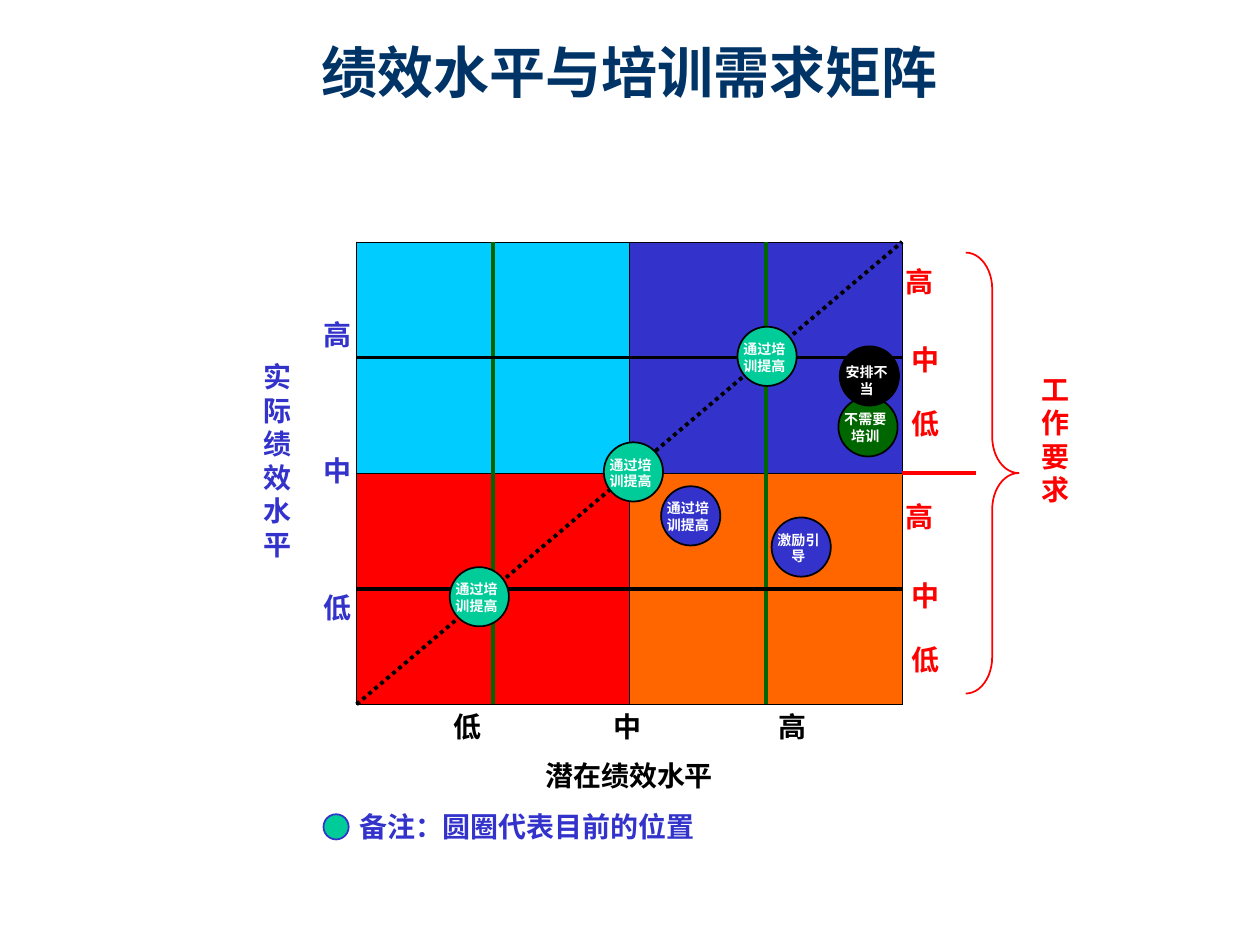
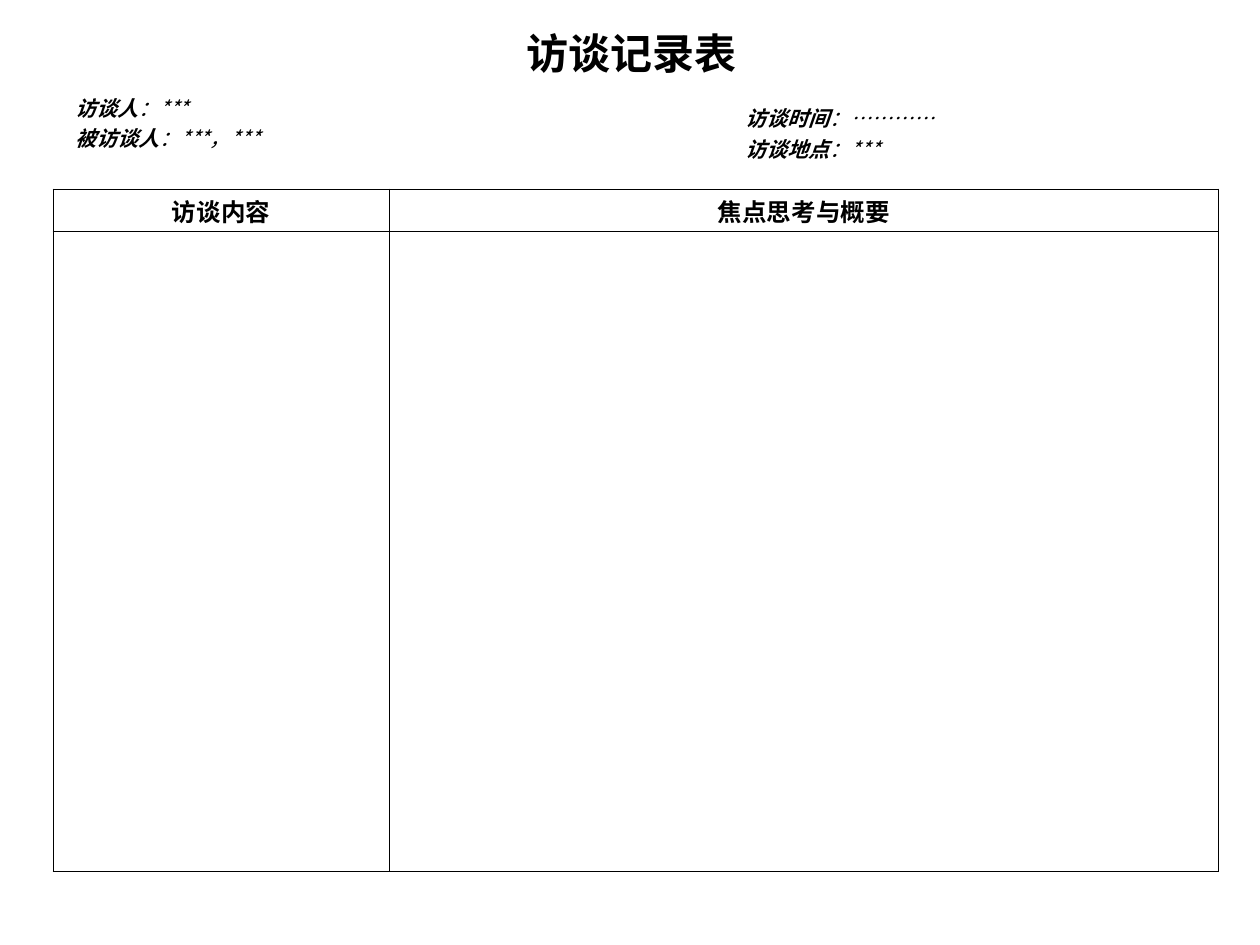
from itertools import product

from lxml.etree import SubElement
from pptx import Presentation
from pptx.dml.color import RGBColor
from pptx.enum.dml import MSO_LINE_DASH_STYLE as DASH
from pptx.enum.shapes import MSO_CONNECTOR, MSO_SHAPE
from pptx.enum.text import MSO_ANCHOR, MSO_AUTO_SIZE, PP_ALIGN as ALIGN
from pptx.oxml.ns import qn
from pptx.util import Inches, Pt

SANS, SERIF = "Noto Sans CJK SC", "Times New Roman"
BLACK, WHITE, NAVY, BLUE = "000000", "FFFFFF", "003366", "3333CC"
RED, ORANGE, CYAN, GREEN, MINT = "FF0000", "FF6600", "00CCFF", "006600", "00CC99"
LEVELS = "高中低"


def color(value):
    """Turn a hex string into a colour."""
    return RGBColor.from_string(value)


class Grid:
    """Turns columns and rows of a box into inches."""

    def __init__(self, box, columns, rows):
        self.left, self.top, self.width, self.height = box
        self.columns, self.rows = columns, rows

    def point(self, column, row):
        """Give the place of a column and row in inches."""
        return (self.left + self.width * column / self.columns,
                self.top + self.height * row / self.rows)

    def around(self, column, row, width, height):
        """Give a box of this size centred on a grid point."""
        x, y = self.point(column, row)
        return x - width / 2, y - height / 2, width, height


def lengths(box):
    """Turn a box in inches into slide units."""
    return [Inches(value) for value in box]


def write(frame, paragraphs, size, tint, align=ALIGN.LEFT, face=SERIF, spacing=1.2):
    """Fill a text frame with paragraphs made of (text, format) runs."""
    for index, parts in enumerate(paragraphs):
        paragraph = frame.add_paragraph() if index else frame.paragraphs[0]
        layout = {"alignment": align, "line_spacing": Pt(size * spacing),
                  "space_before": Pt(0)}
        for key, value in layout.items():
            setattr(paragraph, key, value)
        for text, changes in parts:
            run = paragraph.add_run()
            run.text = text
            style = {"size": Pt(size), "name": face, "bold": True, **changes}
            for key, value in style.items():
                setattr(run.font, key, value)
            run.font.color.rgb = color(tint)
            east_asian = SubElement(run._r.get_or_add_rPr(), qn("a:ea"))
            east_asian.set("typeface", SANS)


def set_frame(frame, wrap=True):
    """Give a text frame the shared insets and top anchor."""
    style = {"word_wrap": wrap, "auto_size": MSO_AUTO_SIZE.NONE,
             "vertical_anchor": MSO_ANCHOR.TOP,
             "margin_left": Inches(0.1), "margin_right": Inches(0.1),
             "margin_top": Inches(0.05), "margin_bottom": Inches(0.05)}
    for key, value in style.items():
        setattr(frame, key, value)


def add_title(slide, text, box, size, tint):
    """Place and format the title placeholder."""
    title = slide.shapes.title
    title.left, title.top, title.width, title.height = lengths(box)
    set_frame(title.text_frame)
    write(title.text_frame, [[(text, {})]], size, tint, ALIGN.CENTER, SANS)


def add_label(slide, text, box, tint, size=16, align=ALIGN.LEFT, wrap=True):
    """Add a bold label."""
    frame = slide.shapes.add_textbox(*lengths(box)).text_frame
    set_frame(frame, wrap)
    write(frame, [[(text, {})]], size, tint, align)


def add_line(slide, start, end, tint, dash=None):
    """Add a straight line between two points."""
    line = slide.shapes.add_connector(MSO_CONNECTOR.STRAIGHT, *lengths(start + end))
    line.line.color.rgb = color(tint)
    line.line.width = Pt(2.25)
    if dash:
        line.line.dash_style = dash
    SubElement(line._element.spPr, qn("a:effectLst"))


def add_outline(slide, kind, box, fill, edge):
    """Add a preset shape with a thin edge."""
    shape = slide.shapes.add_shape(kind, *lengths(box))
    shape.shadow.inherit = False
    if fill:
        shape.fill.solid()
        shape.fill.fore_color.rgb = color(fill)
    else:
        shape.fill.background()
    shape.line.color.rgb = color(edge)
    shape.line.width = Pt(1)
    return shape


def add_grid_table(slide, box, widths, heights):
    """Add a plain table with thin black borders."""
    table = slide.shapes.add_table(len(heights), len(widths), *lengths(box)).table
    table.first_row = table.horz_banding = False
    for column, width in zip(table.columns, widths):
        column.width = Inches(width)
    for row, height in zip(table.rows, heights):
        row.height = Inches(height)
    for cell in table.iter_cells():
        for side in "LRTB":
            border = SubElement(cell._tc.get_or_add_tcPr(), qn(f"a:ln{side}"),
                                w=str(Pt(0.5)))
            paint = SubElement(border, qn("a:solidFill"))
            SubElement(paint, qn("a:srgbClr"), val=BLACK)
        cell.fill.background()
    return table


def add_quadrants(slide, grid):
    """Draw the four coloured quadrants and their dividing lines."""
    box = (grid.left, grid.top, grid.width, grid.height)
    table = add_grid_table(slide, box, [grid.width / 2] * 2, [grid.height / 2] * 2)
    for cell, fill in zip(table.iter_cells(), (CYAN, BLUE, RED, ORANGE)):
        cell.fill.solid()
        cell.fill.fore_color.rgb = color(fill)
    for step in (1, 3):
        add_line(slide, grid.point(step, 0), grid.point(step, 4), GREEN)
    for step in (1, 3):
        add_line(slide, grid.point(0, step), grid.point(4, step), BLACK)
    add_line(slide, grid.point(0, 4), grid.point(4, 0), BLACK, DASH.ROUND_DOT)


def add_axes(slide, grid):
    """Label the actual, potential and required levels."""
    levels = [(text, -0.14, 0.8 + 1.18 * index, BLUE)
              for index, text in enumerate(LEVELS)]
    levels += [(text, column, 4.19, BLACK)
               for text, column in zip(reversed(LEVELS), (0.81, 1.99, 3.2))]
    required = zip(LEVELS, (4.13, 4.17, 4.17), (0.34, 1.02, 1.57))
    levels += [(text, column, row + half, RED)
               for half, (text, column, row) in product((0, 2.04), required)]
    for text, column, row, tint in levels:
        add_label(slide, text, grid.around(column, row, 0.42, 0.37), tint, wrap=False)
    add_label(slide, "实际绩效水平", grid.around(-0.54, 1.89, 0.5, 1.7), BLUE)
    add_label(slide, "潜在绩效水平", grid.around(2, 4.62, 2, 0.37), BLACK,
              align=ALIGN.CENTER)
    add_label(slide, "工作要求", grid.around(5.16, 1.71, 0.5, 1.17), RED)
    add_line(slide, grid.point(4, 2), grid.point(4.54, 2), RED)
    brace = add_outline(slide, MSO_SHAPE.RIGHT_BRACE,
                        grid.around(4.66, 2, 0.42, 3.5), None, RED)
    brace.adjustments[0] = 0.69


def add_positions(slide, grid):
    """Place the circles that show current positions."""
    positions = [("通过培训提高", 0.9, 3.07, MINT, 0),
                 ("通过培训提高", 2.03, 1.99, MINT, 0),
                 ("通过培训提高", 3.01, 0.99, MINT, 0),
                 ("激励引导", 3.26, 2.64, BLUE, 0),
                 ("通过培训提高", 2.45, 2.37, BLUE, 0),
                 ("不需要培训", 3.75, 1.6, GREEN, 0),
                 ("安排不当", 3.76, 1.16, BLACK, 0.03)]
    for text, column, row, fill, drop in positions:
        add_outline(slide, MSO_SHAPE.OVAL, grid.around(column, row, 0.47, 0.47),
                    fill, BLACK)
        caption = grid.around(column - 0.02, row + 0.01 + drop, 0.58, 0.37)
        add_label(slide, text, caption, WHITE, 8, ALIGN.CENTER)


def add_legend(slide, grid):
    """Explain the circles below the matrix."""
    add_label(slide, "备注：圆圈代表目前的位置",
              grid.around(1.25, 5.06, 2.86, 0.37), BLUE, wrap=False)
    add_outline(slide, MSO_SHAPE.OVAL, grid.around(-0.15, 5.06, 0.2, 0.2), MINT, BLUE)


def build_matrix(slide):
    """Build the performance and training matrix."""
    grid = Grid((2.83, 1.92, 4.33, 3.67), 4, 4)
    add_title(slide, "绩效水平与培训需求矩阵", (0.75, 0.25, 8.5, 0.64), 32, NAVY)
    for part in (add_quadrants, add_axes, add_positions, add_legend):
        part(slide, grid)


def add_details(slide, box, details):
    """Add italic lines, each a bold name and its plain value."""
    frame = slide.shapes.add_textbox(*lengths(box)).text_frame
    set_frame(frame)
    lines = [[(name, {"italic": True}), ("：", {"italic": True, "bold": False}),
              (value, {"italic": True, "bold": False, "name": face})]
             for name, value, face in details]
    write(frame, lines, 12, BLACK, ALIGN.JUSTIFY, SANS, 1.44)


def build_interview(slide):
    """Build the interview record form."""
    add_title(slide, "访谈记录表", (3.14, 0.17, 3.75, 0.5), 24, BLACK)
    add_details(slide, (0.5, 0.67, 5.17, 0.58),
                [("访谈人", "***", SANS), ("被访谈人", "***，***", SANS)])
    add_details(slide, (5.82, 0.75, 3.6, 0.58),
                [("访谈时间", "…………", SERIF), ("访谈地点", "***", SANS)])
    table = add_grid_table(slide, (0.42, 1.5, 9.25, 5.42), (2.67, 6.58), (0.34, 5.08))
    for cell, heading in zip(table.rows[0].cells, ("访谈内容", "焦点思考与概要")):
        cell.margin_top, cell.margin_bottom = Inches(0.08), Inches(0.02)
        write(cell.text_frame, [[(heading, {})]], 14, BLACK, ALIGN.CENTER, SANS)


def main():
    """Build and save both slides."""
    deck = Presentation()
    deck.slide_width, deck.slide_height = Inches(10), Inches(7.5)
    for build in (build_matrix, build_interview):
        build(deck.slides.add_slide(deck.slide_layouts[5]))
    deck.save("out.pptx")


if __name__ == "__main__":
    main()
